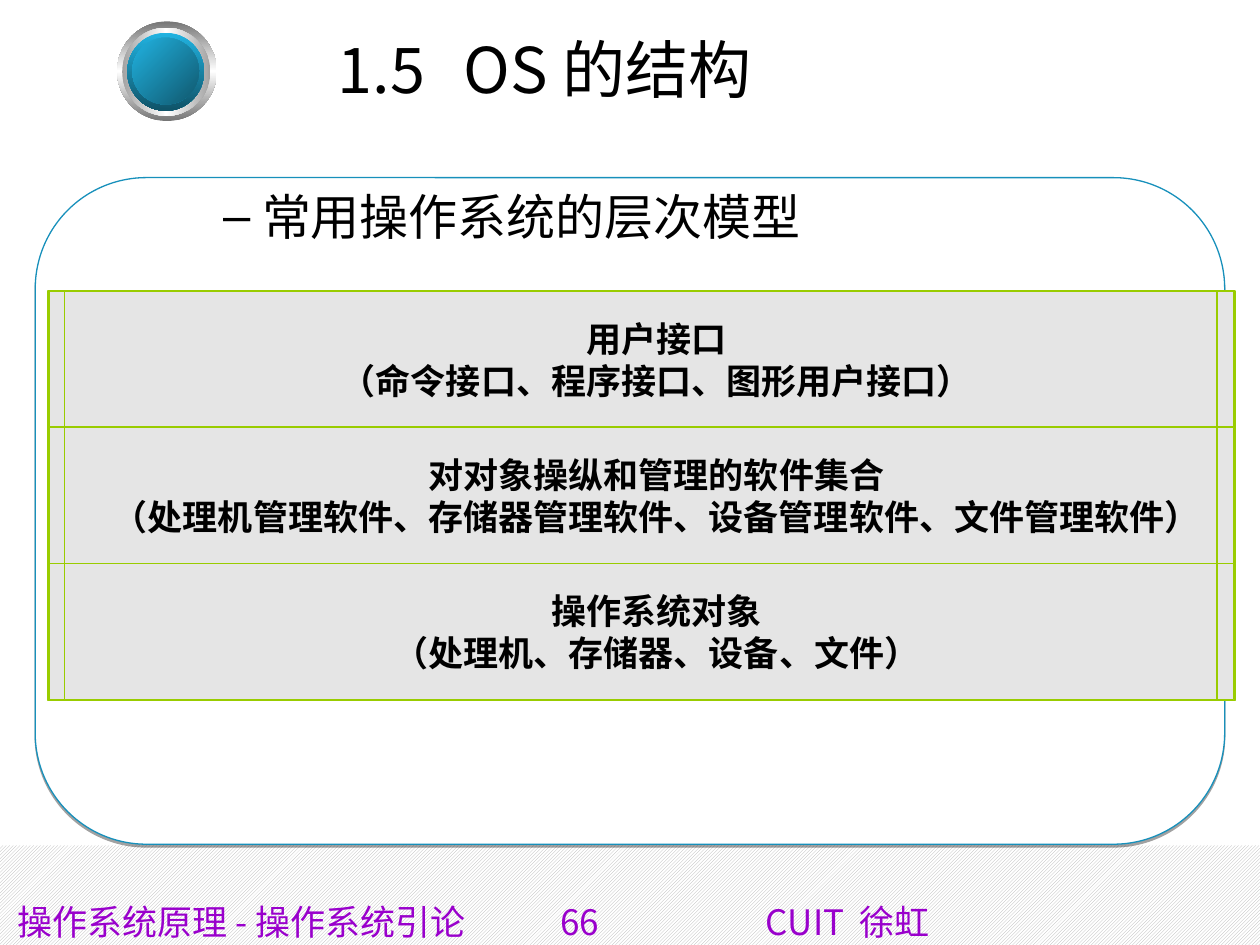
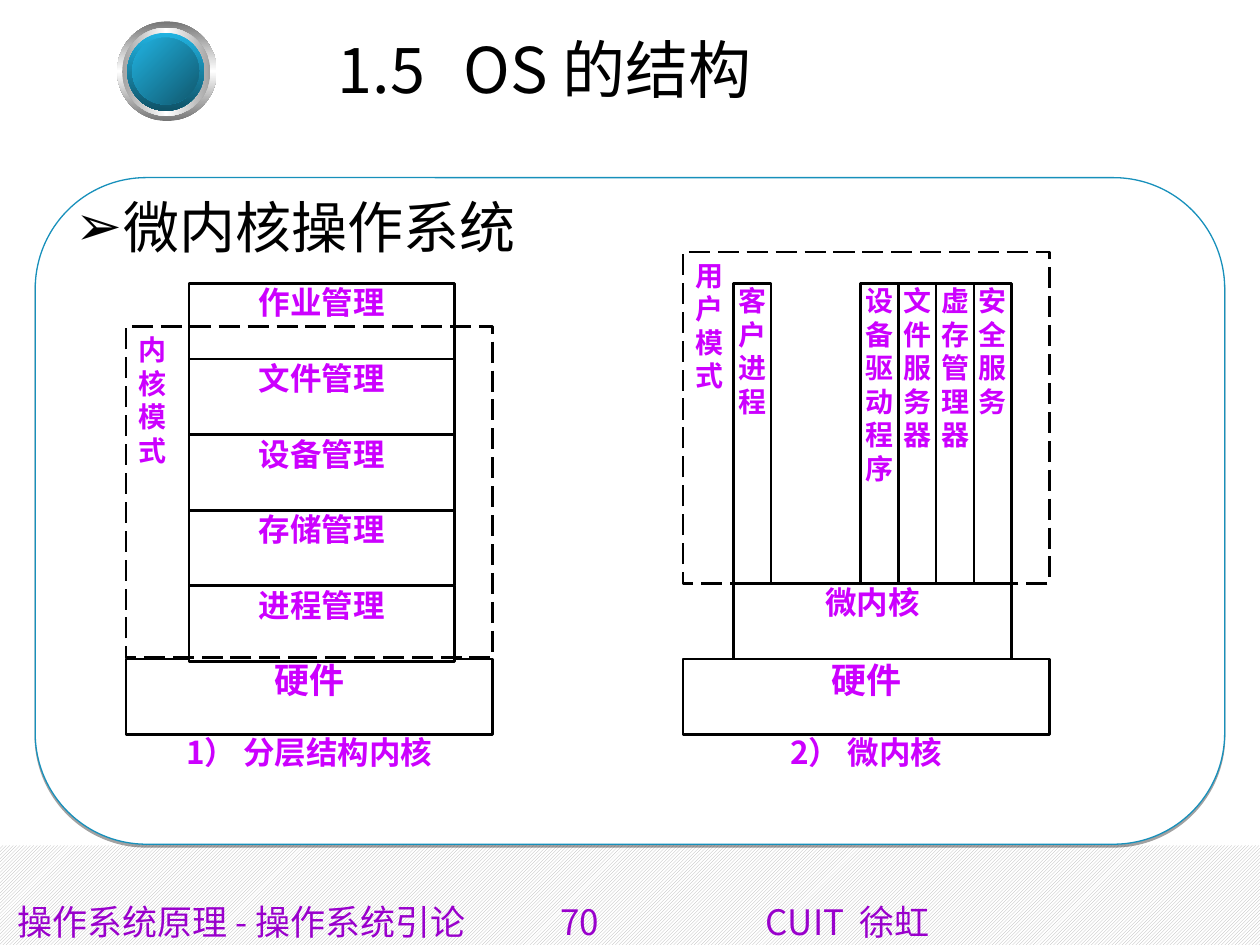
from lxml import etree
from pptx import Presentation, util as u
from pptx.dml.color import RGBColor
from pptx.enum import dml, shapes, text
from pptx.oxml.ns import qn

HUES = {
    "white": "FFFFFF", "black": "000000", "hatch": "B2B2B2", "foot": "9900CC",
    "frame": "1790BB", "band": "E5E5E5", "edge": "99CC00", "label": "CC00FF",
    "rim": "767676", "ring": "A2A2A2", "sky": "21B3E1", "deep": "0F5368", "sea": "10576D",
}
SANS, KOREAN, ROMAN = "Noto Sans CJK SC", "Noto Sans CJK KR", "Times New Roman"
HEAD = {"name": SANS, "size": u.Pt(36), "bold": False}
LABEL = {"name": SANS, "size": u.Pt(18), "bold": True}
SIDE = {"name": ROMAN, "size": u.Pt(16), "bold": True}
BAND = {"name": ROMAN, "size": u.Pt(20), "bold": True}
FOOT = {"name": SANS, "size": u.Pt(20), "bold": False}
FLUSH = dict.fromkeys(["margin_left", "margin_top", "margin_right", "margin_bottom"], 0)
TOP, MID = text.MSO_ANCHOR.TOP, text.MSO_ANCHOR.MIDDLE
CENTER, LEFT, EVEN = text.PP_ALIGN.CENTER, text.PP_ALIGN.LEFT, text.PP_ALIGN.JUSTIFY
RECT, DISC = shapes.MSO_SHAPE.RECTANGLE, shapes.MSO_SHAPE.OVAL
ROUND = shapes.MSO_SHAPE.ROUNDED_RECTANGLE


def put(item, values):
    for key, value in values.items():
        setattr(item, key, value)


def hue(name):
    return RGBColor.from_string(HUES[name])


def add(node, tag, **values):
    return etree.SubElement(node, qn(tag), {k: str(v) for k, v in values.items()})


class Deck:
    def __init__(self):
        self.show = Presentation()
        put(self.show, {"slide_width": u.Inches(10), "slide_height": u.Inches(7.5)})
        self.slide = None

    def start(self, number):
        self.slide = self.show.slides.add_slide(self.show.slide_layouts[1])
        base = self.shape([0, 6.71, 10, 0.79])
        base.fill.patterned()
        base.fill.pattern = dml.MSO_PATTERN.DARK_UPWARD_DIAGONAL
        base.fill.fore_color.rgb = hue("hatch")
        base.fill.back_color.rgb = hue("white")
        self.disc([0.93, 0.17, 0.79, 0.79], ["rim", "white", "rim"], 90)
        self.disc([0.97, 0.22, 0.7, 0.7], ["ring", "white", "ring"], 0)
        self.disc([1.01, 0.26, 0.61, 0.62], ["sky", "deep"], 90)
        self.disc([1.05, 0.3, 0.53, 0.53], ["sky", "sea"], 45)
        self.foot(number)
        self.frame()

    def shape(self, at, kind=RECT, fill=None, line=None, width=0.75):
        item = self.slide.shapes.add_shape(kind, *map(u.Inches, at))
        item.shadow.inherit = False
        if fill:
            item.fill.solid()
            item.fill.fore_color.rgb = hue(fill)
        else:
            item.fill.background()
        if line:
            item.line.color.rgb = hue(line)
            item.line.width = u.Pt(width)
        else:
            item.line.fill.background()
        return item

    def disc(self, at, stops, angle):
        item = self.shape(at, DISC)
        item.fill.gradient()
        item.fill.gradient_angle = -angle % 360
        track = item.element.spPr.find(".//" + qn("a:gsLst"))
        for old in list(track):
            track.remove(old)
        for i, name in enumerate(stops):
            stop = add(track, "a:gs", pos=100000 * i // (len(stops) - 1))
            add(stop, "a:srgbClr", val=HUES[name])

    def frame(self):
        item = self.shape([0.28, 1.41, 9.44, 5.29], ROUND, "white", "frame")
        glow = item.element.spPr.find(qn("a:effectLst"))
        shade = add(glow, "a:outerShdw", blurRad=0, dist=int(u.Pt(1.6)), dir=5400000, rotWithShape=0)
        add(add(shade, "a:srgbClr", val=HUES["black"]), "a:alpha", val=37000)

    def font(self, run, style, color):
        put(run.font, style)
        run.font.color.rgb = hue(color)
        add(run._r.get_or_add_rPr(), "a:ea", typeface=KOREAN if style["name"] == KOREAN else SANS)

    def tabs(self, para, *stops):
        track = add(para._p.get_or_add_pPr(), "a:tabLst")
        for stop in stops:
            add(track, "a:tab", pos=int(u.Inches(stop)), algn="l")

    def dent(self, para, left, first):
        props = para._p.get_or_add_pPr()
        props.set("marL", str(int(u.Inches(left))))
        props.set("indent", str(int(u.Inches(first))))

    def label(self, item, lines, style, color="label", align=CENTER, anchor=TOP, dent=0, **box):
        frame = item.text_frame
        put(frame, {"word_wrap": True, "vertical_anchor": anchor, **box})
        for i, line in enumerate(lines):
            para = frame.add_paragraph() if i else frame.paragraphs[0]
            para.alignment = align
            self.dent(para, 0, dent)
            run = para.add_run()
            run.text = line
            self.font(run, style, color)

    def foot(self, number):
        item = self.slide.shapes.add_textbox(*map(u.Inches, [0.04, 7.1, 10, 0.4]))
        item.text_frame.word_wrap = True
        para = item.text_frame.paragraphs[0]
        self.tabs(para, 4.31, 5.94)
        parts = [("操作系统原理 - 操作系统引论\t", SANS), (f"{number}\t", KOREAN), ("CUIT  徐虹", SANS)]
        for words, name in parts:
            run = para.add_run()
            run.text = words
            self.font(run, {**FOOT, "name": name}, "foot")

    def holder(self, index, at):
        item = self.slide.placeholders[index]
        put(item, dict(zip(["left", "top", "width", "height"], map(u.Inches, at))))
        self.slide.shapes.element.append(item.element)
        item.text_frame.auto_size = text.MSO_AUTO_SIZE.NONE
        return item

    def title(self, words):
        item = self.holder(0, [0.49, 0.19, 7.9, 1.22])
        self.tabs(item.text_frame.paragraphs[0], 1.26)
        self.label(item, [words], HEAD, "black", LEFT, margin_left=u.Inches(2.19))

    def body(self, words, at, mark, level, left, first, style):
        item = self.holder(1, at)
        para = item.text_frame.paragraphs[0]
        put(para, {"level": level, "space_before": u.Pt(0)})
        add(para._p.get_or_add_pPr(), "a:buChar", char=mark)
        self.label(item, [words], style, "black", LEFT)
        self.dent(para, left, first)

    def band(self, top, lines):
        self.shape([0.39, top, 9.4, 1.08], RECT, "band", "edge")
        inner = self.shape([0.51, top, 9.15, 1.08], RECT, "band", "edge")
        self.label(inner, lines, BAND, "black", anchor=MID, dent=0.25)

    def cell(self, at, words, size=18, line="black"):
        item = self.shape(at, RECT, "white", line, 1.5)
        self.label(item, [words], {**LABEL, "size": u.Pt(size)}, **FLUSH)

    def zone(self, at, words):
        item = self.shape(at, RECT, None, "black", 1.5)
        item.line.dash_style = dml.MSO_LINE.LONG_DASH
        self.label(item, words, SIDE, align=EVEN)

    def ground(self, left, words):
        self.cell([left, 5.82, 2.91, 0.6], words, line=None)
        self.cell([left, 5.23, 2.91, 0.6], "硬件", 20)


def layers(deck):
    deck.start(66)
    deck.body("常用操作系统的层次模型", [1.17, 1.43, 8.63, 5.27], "–", 1, 0.81, -0.31,
              {"name": ROMAN, "size": u.Pt(28)})
    bands = [
        ["用户接口", "（命令接口、程序接口、图形用户接口）"],
        ["对对象操纵和管理的软件集合", "（处理机管理软件、存储器管理软件、设备管理软件、文件管理软件）"],
        ["操作系统对象", "（处理机、存储器、设备、文件）"],
    ]
    for i, lines in enumerate(bands):
        deck.band(2.31 + 1.08 * i, lines)
    deck.shape([0.38, 2.31, 9.42, 3.25], RECT, None, "edge", 0.87)
    deck.title("1.5\tOS 的结构")


def kernels(deck):
    deck.start(70)
    deck.body("微内核操作系统", [0.5, 1.48, 9.01, 5.22], "➢", 0, 0.38, -0.38,
              {"name": SANS, "size": u.Pt(32)})
    deck.ground(1, "1） 分层结构内核")
    for i, words in enumerate(["作业管理", "文件管理", "设备管理", "存储管理", "进程管理"]):
        deck.cell([1.5, 2.25 + 0.6 * i, 2.11, 0.6], words)
    deck.zone([1, 2.59, 2.91, 2.63], "内核模式")
    deck.ground(5.42, "2） 微内核")
    deck.cell([5.82, 4.63, 2.21, 0.6], "微内核")
    deck.cell([5.82, 2.25, 0.3, 2.38], "客户进程", 16)
    for i, words in enumerate(["设备驱动程序", "文件服务器", "虚存管理器", "安全服务"]):
        deck.cell([6.83 + 0.3 * i, 2.25, 0.3, 2.38], words, 16)
    deck.zone([5.42, 2, 2.91, 2.63], "用户模式")
    deck.title("1.5\tOS 的结构")


def main():
    deck = Deck()
    layers(deck)
    kernels(deck)
    deck.show.save("out.pptx")


if __name__ == "__main__":
    main()
